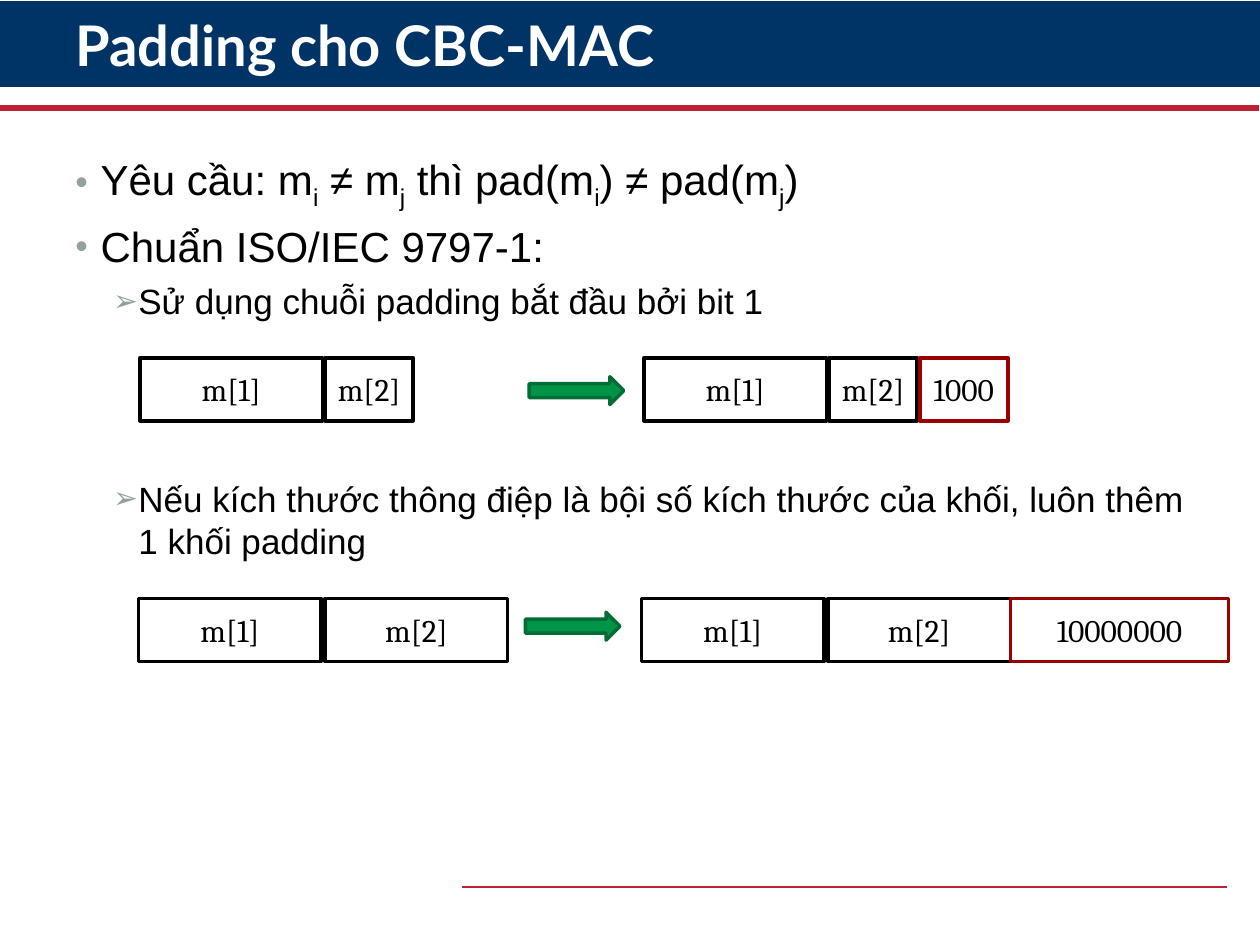
import pptx
import pptx.util
import pptx.dml.color
import pptx.enum.shapes
import pptx.enum.text
import pptx.oxml
import pptx.oxml.ns

# ---- Content ----
COLORS = {
    "navy": "003366", "red": "C02034", "white": "FFFFFF", "black": "000000",
    "bullet": "93A299", "padding": "990000", "green": "009446", "dark_green": "006D34",
}
TITLE = "Padding cho CBC-MAC"

# Each point: level, space before (pt), pieces; pieces alternate normal / subscript.
# The space before the last point leaves room for the first diagram.
POINTS = [
    (0, 0, ["Yêu cầu: m", "i", " ≠ m", "j", " thì pad(m", "i", ") ≠ pad(m", "j", ")"]),
    (0, 5.5, ["Chuẩn ISO/IEC 9797-1:"]),
    (1, 5, ["Sử dụng chuỗi padding bắt đầu bởi bit 1"]),
    (1, 89, ["Nếu kích thước thông điệp là bội số kích thước của khối, "
             "luôn thêm 1 khối padding"]),
]
LEVELS = [
    {"size": 24, "margin": 0.2, "bullet": "•"},
    {"size": 20, "margin": 0.5, "bullet": "➢"},
]

# Grid of 100 columns by 75 rows
COLUMNS, ROWS = 100, 75
FULL, PART, WIDE = 14.5, 7, 17.3
BLOCK_HEIGHT = 5

# Each block: label, width, gap before it, outline
DIAGRAMS = [
    {"top": 28.4, "arrow": (42, 29.9), "messages": [
        (11.1, [("m[1]", FULL, 0, "black"), ("m[2]", PART, 0.2, "black")]),
        (51.1, [("m[1]", FULL, 0, "black"), ("m[2]", PART, 0.2, "black"),
                ("1000", PART, 0.2, "padding")]),
    ]},
    {"top": 47.5, "arrow": (41.7, 48.6), "messages": [
        (11, [("m[1]", FULL, 0, "black"), ("m[2]", FULL, 0.3, "black")]),
        (50.9, [("m[1]", FULL, 0, "black"), ("m[2]", FULL, 0.3, "black"),
                ("10000000", WIDE, 0, "padding")]),
    ]},
]
RULES = [(-0.1, 99.9, 8.6, 3.5), (36.7, 97.4, 70.4, 1.5)]

# ---- Slide ----
deck = pptx.Presentation()
deck.slide_width = pptx.util.Inches(10)
deck.slide_height = pptx.util.Inches(7.5)
slide = deck.slides.add_slide(deck.slide_layouts[6])
SHAPE = pptx.enum.shapes.MSO_SHAPE
ALIGN = pptx.enum.text.PP_ALIGN
ANCHOR = pptx.enum.text.MSO_ANCHOR


def place(left, top, width, height):
    column, row = deck.slide_width / COLUMNS, deck.slide_height / ROWS
    return [round(v) for v in (left * column, top * row, width * column, height * row)]


def rgb(color):
    return pptx.dml.color.RGBColor.from_string(COLORS[color])


def apply(target, formats):
    for attribute, value in formats.items():
        setattr(target, attribute, value)


def set_font(font, color, **formats):
    apply(font, formats)
    font.color.rgb = rgb(color)


def add_figure(kind, box, fill, outline=None):
    figure = slide.shapes.add_shape(kind, *place(*box))
    figure.shadow.inherit = False
    figure.fill.solid()
    figure.fill.fore_color.rgb = rgb(fill)
    if outline:
        figure.line.color.rgb = rgb(outline)
        figure.line.width = pptx.util.Pt(2)
    else:
        figure.line.fill.background()
    return figure


def add_bullet(paragraph, margin, character):
    properties = paragraph._p.get_or_add_pPr()
    properties.set("marL", str(pptx.util.Inches(margin)))
    properties.set("indent", str(pptx.util.Inches(-0.2)))
    namespace = pptx.oxml.ns.nsdecls("a")
    for markup in (
        f'<a:buClr {namespace}><a:srgbClr val="{COLORS["bullet"]}"/></a:buClr>',
        f'<a:buSzPct {namespace} val="85000"/>',
        f'<a:buFont {namespace} typeface="Arial"/>',
        f'<a:buChar {namespace} char="{character}"/>',
    ):
        properties.append(pptx.oxml.parse_xml(markup))


# Title band and rules
add_figure(SHAPE.RECTANGLE, (0, 0.1, 100, 6.8), "navy")
for start, end, height, weight in RULES:
    x, y, length, _ = place(start, height, end - start, 0)
    rule = slide.shapes.add_connector(
        pptx.enum.shapes.MSO_CONNECTOR.STRAIGHT, x, y, x + length, y)
    rule.line.color.rgb = rgb("red")
    rule.line.width = pptx.util.Pt(weight)
    rule._element.spPr.append(pptx.oxml.parse_xml(
        f'<a:effectLst {pptx.oxml.ns.nsdecls("a")}/>'))

# Title
heading = slide.shapes.add_textbox(*place(5, 0.8, 88.1, 6.1)).text_frame
apply(heading, {"word_wrap": True, "vertical_anchor": ANCHOR.MIDDLE})
heading.text = TITLE
heading.paragraphs[0].line_spacing = 0.9
set_font(heading.paragraphs[0].runs[0].font, "white",
         name="Lato", size=pptx.util.Pt(32), bold=True)

# Points
body = slide.shapes.add_textbox(*place(5, 11.7, 90, 59.2)).text_frame
body.word_wrap = True
for number, (level, space, pieces) in enumerate(POINTS):
    style = LEVELS[level]
    point = body.add_paragraph() if number else body.paragraphs[0]
    apply(point, {"level": level, "alignment": ALIGN.JUSTIFY,
                  "space_before": pptx.util.Pt(space)})
    add_bullet(point, style["margin"], style["bullet"])
    for index, piece in enumerate(pieces):
        run = point.add_run()
        run.text = piece
        set_font(run.font, "black", name="Arial", size=pptx.util.Pt(style["size"]))
        if index % 2:
            run.font._element.set("baseline", "-25000")

# Message diagrams
for diagram in DIAGRAMS:
    add_figure(SHAPE.RIGHT_ARROW, (*diagram["arrow"], 7.5, 2.2), "green", "dark_green")
    for left, blocks in diagram["messages"]:
        for label, width, gap, outline in blocks:
            left += gap
            block = add_figure(SHAPE.RECTANGLE, (left, diagram["top"], width, BLOCK_HEIGHT),
                               "white", outline)
            left += width
            apply(block.text_frame, {"text": label, "word_wrap": False,
                                     "vertical_anchor": ANCHOR.MIDDLE})
            caption = block.text_frame.paragraphs[0]
            caption.alignment = ALIGN.CENTER
            set_font(caption.runs[0].font, "black", name="Cambria", size=pptx.util.Pt(18))

deck.save("out.pptx")
